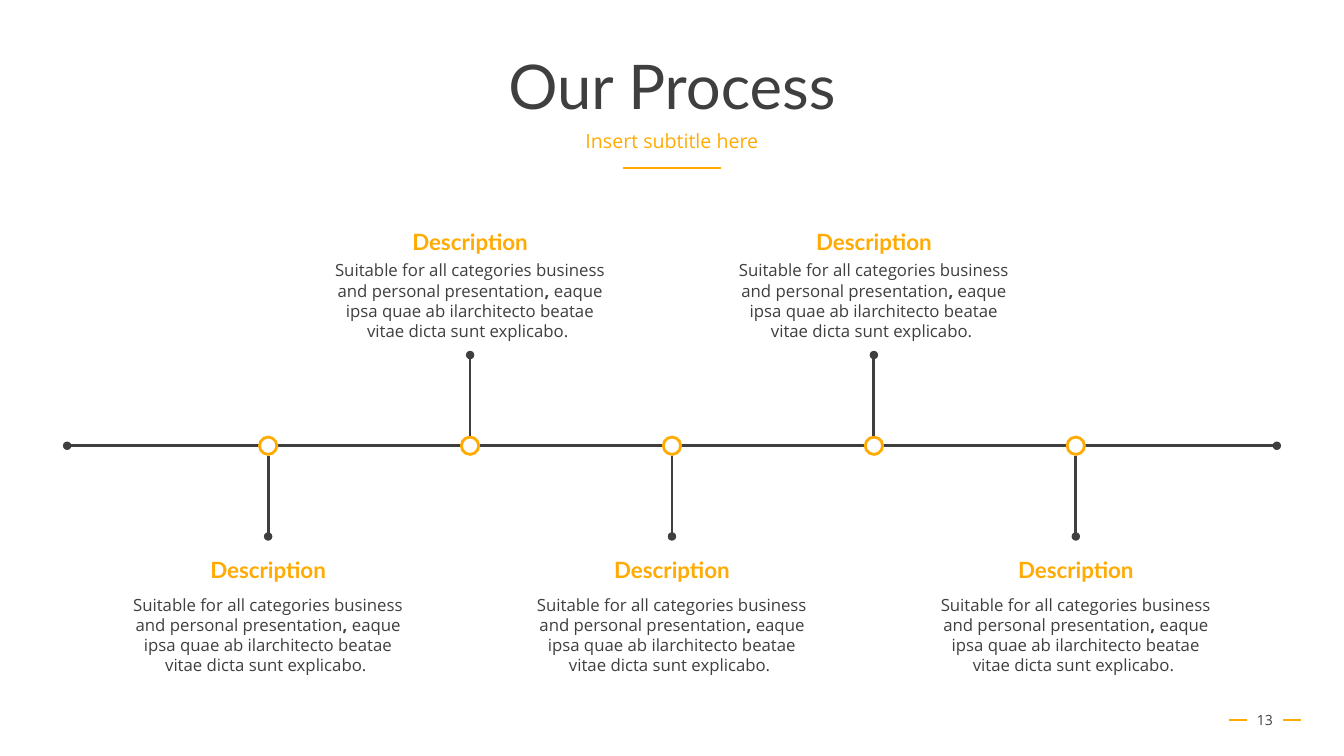
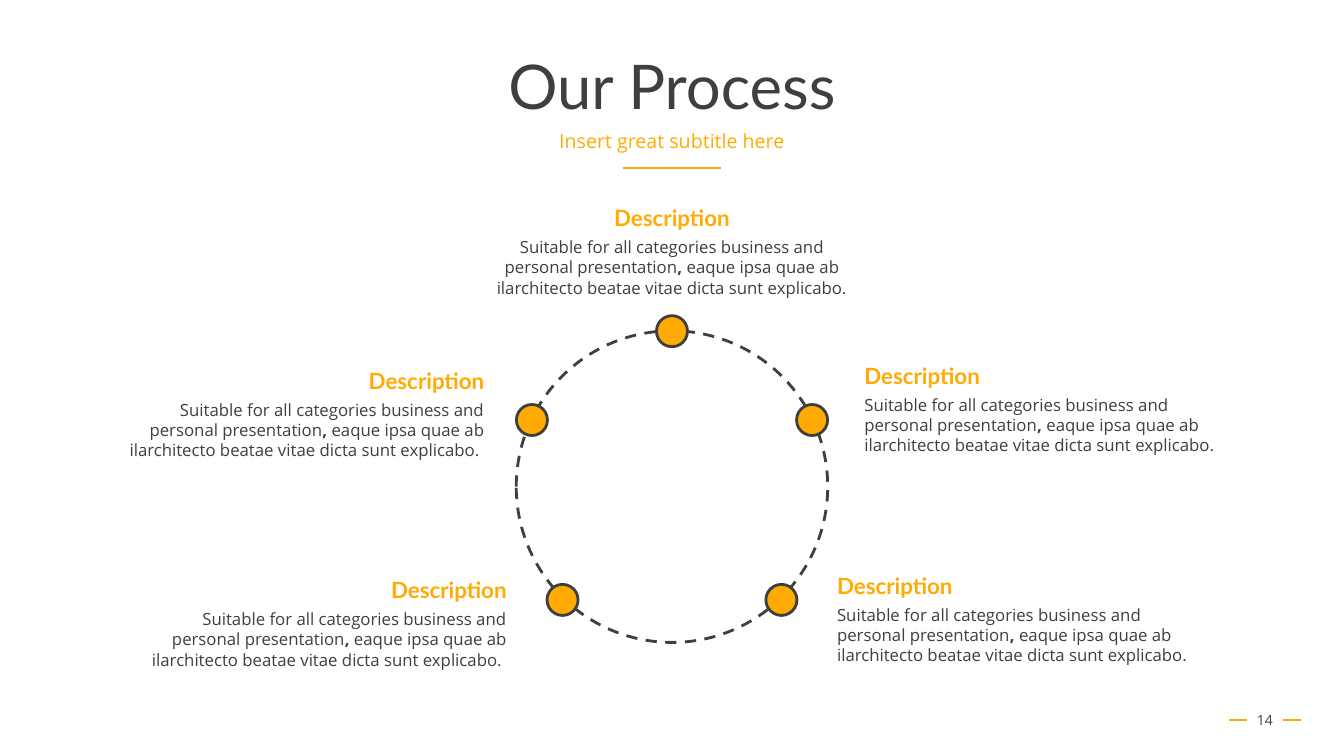
from dataclasses import dataclass
from typing import Any, Optional

from lxml import etree
from pptx import Presentation
from pptx import util as u
from pptx.dml.color import RGBColor
from pptx.enum import dml, shapes, text
from pptx.oxml import ns

COLORS = {"dark": "3F3F3F", "accent": "FFAB03", "white": "FFFFFF"}
WIDTH, HEIGHT = 960.48, 540
CENTER = WIDTH / 2
LEFT, MIDDLE, RIGHT = text.PP_ALIGN.LEFT, text.PP_ALIGN.CENTER, text.PP_ALIGN.RIGHT

TITLE = {"name": "Lato", "size": u.Pt(44), "color": "dark"}
SUBTITLE = {"name": "Open Sans", "size": u.Pt(14), "color": "accent"}
NUMBER = {"name": "Open Sans", "size": u.Pt(10), "color": "dark"}
HEADING = {"name": "Lato", "size": u.Pt(16), "color": "accent", "bold": True}
BODY = {"name": "Open Sans", "size": u.Pt(12), "color": "dark", "bold": False}
BODY_BOLD = {**BODY, "bold": True}

HEADING_TEXT = "Description"
BODY_RUNS = [
    ("Suitable for all categories business and personal presentation", BODY),
    (",", BODY_BOLD),
    (" eaque ipsa quae ab ilarchitecto beatae vitae dicta sunt explicabo. ", BODY),
]
HEADING_SIZE = (164.2, 26.6)

AXIS_Y = 318.4
NODE_STEP = 144.3
STEM_START, STEM_END = 7, 64.8

RING_Y, RING_DIAMETER = 347.6, 222.6
DOT_DIAMETER = 22.2


@dataclass(frozen=True)
class Box:
    left: float
    top: float
    width: float
    height: float


@dataclass(frozen=True)
class Description:
    """A heading and its body, both aligned at x."""
    x: float
    top: float
    align: Any
    width: float
    height: float
    body_gap: float = 23.2


@dataclass(frozen=True)
class Step:
    """A dot, placed from the ring's centre, and its description."""
    dx: float
    dy: float
    description: Description


RING_STEPS = [
    Step(0, -111, Description(CENTER, 142.6, MIDDLE, 265, 50.4)),
    Step(-100.1, -47.6, Description(353.2, 258.5, RIGHT, 274.3, 50.4)),
    Step(100.1, -47.6, Description(610.6, 254.9, LEFT, 272.2, 50.4)),
    Step(-78.2, 80.9, Description(369.2, 408.3, RIGHT, 274.3, 50.4)),
    Step(78.2, 80.9, Description(591.1, 404.9, LEFT, 272.2, 50.4)),
]


def rgb(name: str) -> RGBColor:
    return RGBColor.from_string(COLORS[name])


def apply_format(target: Any, values: dict) -> None:
    for name, value in values.items():
        if name == "color":
            target.color.rgb = rgb(value)
        else:
            setattr(target, name, value)


def add_text(slide: Any, box: Box, runs: list, align: Any = MIDDLE,
             frame_format: Optional[dict] = None,
             paragraph_format: Optional[dict] = None) -> None:
    shape = slide.shapes.add_textbox(
        u.Pt(box.left), u.Pt(box.top), u.Pt(box.width), u.Pt(box.height))
    frame = shape.text_frame
    apply_format(frame, {"word_wrap": True, **(frame_format or {})})
    paragraph = frame.paragraphs[0]
    apply_format(paragraph, {"alignment": align, **(paragraph_format or {})})
    for content, font_format in runs:
        run = paragraph.add_run()
        run.text = content
        apply_format(run.font, font_format)


def add_line(slide: Any, start: tuple, end: tuple, color: str = "dark",
             width: float = 2, ovals: tuple = ()) -> None:
    """Draw a line; ovals names the ends (headEnd, tailEnd) that get a dot."""
    connector = slide.shapes.add_connector(
        shapes.MSO_CONNECTOR.STRAIGHT, *(u.Pt(value) for value in (*start, *end)))
    apply_format(connector.line, {"color": color, "width": u.Pt(width)})
    for tag in ovals:
        etree.SubElement(connector.get_or_add_ln(), ns.qn(f"a:{tag}"), type="oval")
    etree.SubElement(connector.element.spPr, ns.qn("a:effectLst"))


def add_circle(slide: Any, x: float, y: float, diameter: float, line_color: str,
               fill: Optional[str] = None) -> Any:
    shape = slide.shapes.add_shape(
        shapes.MSO_SHAPE.OVAL, u.Pt(x - diameter / 2), u.Pt(y - diameter / 2),
        u.Pt(diameter), u.Pt(diameter))
    shape.shadow.inherit = False
    if fill:
        shape.fill.solid()
        shape.fill.fore_color.rgb = rgb(fill)
    else:
        shape.fill.background()
    apply_format(shape.line, {"color": line_color, "width": u.Pt(2)})
    return shape


def add_description(slide: Any, item: Description) -> None:
    share = {LEFT: 0, MIDDLE: 0.5, RIGHT: 1}[item.align]
    runs = BODY_RUNS
    if item.align == LEFT:
        content, font_format = BODY_RUNS[-1]
        runs = [*BODY_RUNS[:-1], (content.rstrip(), font_format)]
    parts = [
        (item.top + item.body_gap, item.width, item.height, runs),
        (item.top, *HEADING_SIZE, [(HEADING_TEXT, HEADING)]),
    ]
    for top, width, height, part_runs in parts:
        add_text(slide, Box(item.x - share * width, top, width, height), part_runs,
                 item.align, {"auto_size": text.MSO_AUTO_SIZE.SHAPE_TO_FIT_TEXT})


def add_base_slide(presentation: Any, subtitle: str, number: int) -> Any:
    """Add a slide with the shared title, subtitle, rule and page number."""
    slide = presentation.slides.add_slide(presentation.slide_layouts[6])
    for start, end, y in [(445, 515.5, 120.2), (878.4, 891.2, 514.2), (917, 929.8, 514.2)]:
        add_line(slide, (start, y), (end, y), "accent", 1.75)
    anchored = {"vertical_anchor": text.MSO_ANCHOR.MIDDLE}
    tight = {"line_spacing": 0.9}
    add_text(slide, Box(66.24, 28.8, 828, 70.6), [("Our Process", TITLE)],
             frame_format=anchored, paragraph_format=tight)
    add_text(slide, Box(66.24, 90.7, 828, 28.8), [(subtitle, SUBTITLE)],
             paragraph_format=tight)
    add_text(slide, Box(882.7, 499.7, 42.5, 28.8), [(str(number), NUMBER)],
             frame_format=anchored)
    return slide


def build_timeline(presentation: Any) -> None:
    slide = add_base_slide(presentation, "Insert subtitle here", 13)
    add_line(slide, (48, AXIS_Y), (WIDTH - 48, AXIS_Y), ovals=("headEnd", "tailEnd"))
    for index in range(5):
        x = CENTER + (index - 2) * NODE_STEP
        above = index % 2 == 1
        direction = -1 if above else 1
        add_circle(slide, x, AXIS_Y, 12.4, "accent", "white")
        add_line(slide, (x, AXIS_Y + direction * STEM_START),
                 (x, AXIS_Y + direction * STEM_END), ovals=("tailEnd",))
        top, gap = (159.1, 23.2) if above else (393.8, 27.4)
        add_description(slide, Description(x, top, MIDDLE, 210.2, 64.8, gap))


def build_ring(presentation: Any) -> None:
    slide = add_base_slide(presentation, "Insert great subtitle here", 14)
    ring = add_circle(slide, CENTER, RING_Y, RING_DIAMETER, "dark")
    ring.line.dash_style = dml.MSO_LINE.DASH
    for step in RING_STEPS:
        add_circle(slide, CENTER + step.dx, RING_Y + step.dy, DOT_DIAMETER,
                   "dark", "accent")
        add_description(slide, step.description)


def main() -> None:
    presentation = Presentation()
    apply_format(presentation, {"slide_width": u.Pt(WIDTH), "slide_height": u.Pt(HEIGHT)})
    build_timeline(presentation)
    build_ring(presentation)
    presentation.save("out.pptx")


if __name__ == "__main__":
    main()
